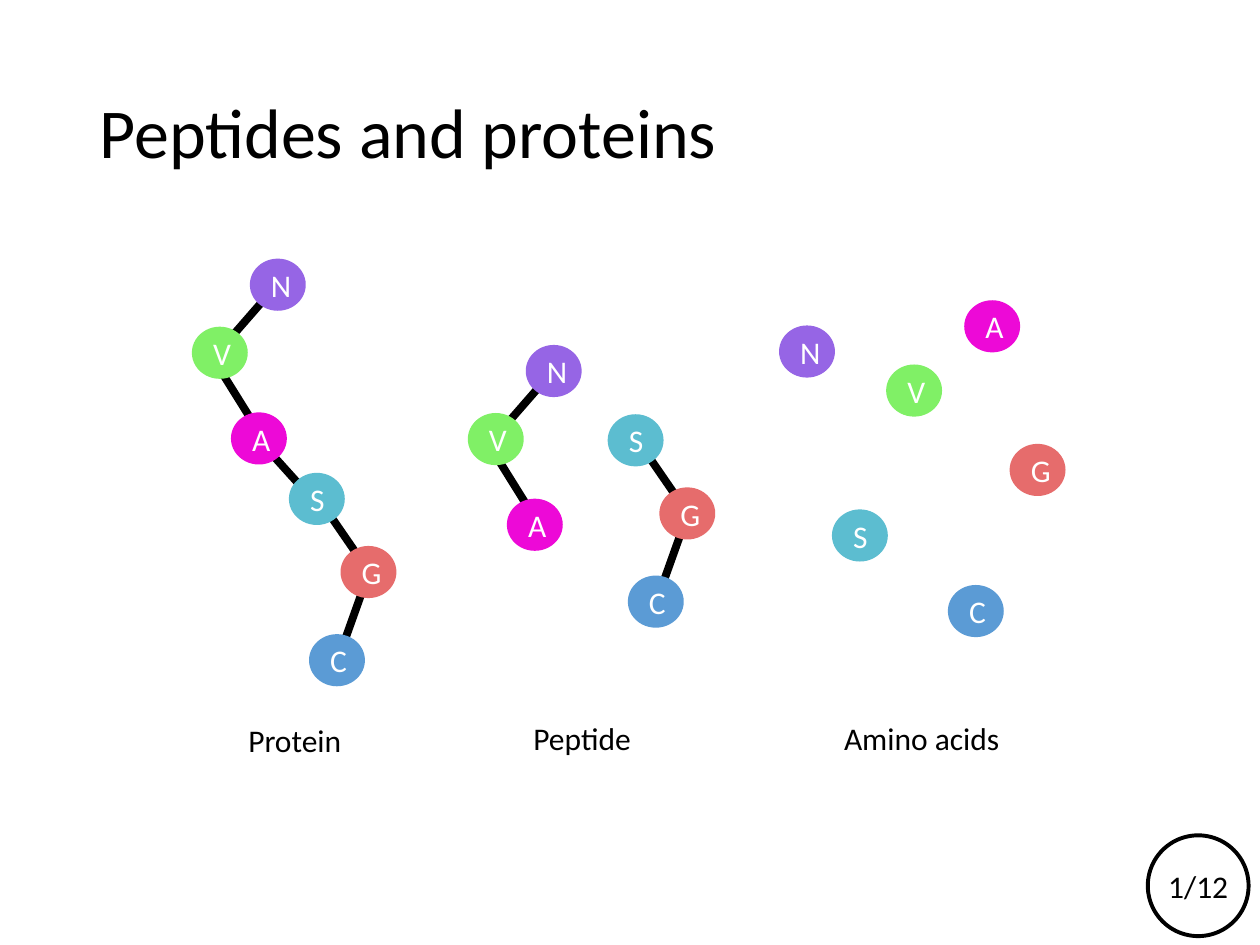
from lxml import etree
from pptx import Presentation
from pptx import util as u
from pptx.dml.color import RGBColor
from pptx.enum import shapes, text

deck = Presentation()
deck.slide_width, deck.slide_height = u.Inches(10), u.Inches(7.5)
cell = deck.slide_width / 100
slide = deck.slides.add_slide(deck.slide_layouts[5])
items = slide.shapes


def grid(*nums):
    return [round(n * cell) for n in nums]


def style(obj, hue=None, line=None, words=None, size=18, ink="000000", **form):
    if hue:
        obj.shadow.inherit = False
        obj.fill.solid()
        obj.fill.fore_color.rgb = RGBColor.from_string(hue)
    if line:
        obj.line.color.rgb = RGBColor.from_string(line[0])
        obj.line.width = u.Pt(line[1])
    if words:
        frame = obj.text_frame
        frame.text = words
        frame.word_wrap = True
        frame.vertical_anchor = form.get("anchor", text.MSO_ANCHOR.MIDDLE)
        para = frame.paragraphs[0]
        para.alignment = form.get("align", text.PP_ALIGN.CENTER)
        para.line_spacing = form.get("space", 1.0)
        para.font.color.rgb = RGBColor.from_string(ink)
        for key, val in {"name": "Calibri", "size": u.Pt(size)}.items():
            setattr(para.font, key, val)


title = items.title
place = dict(zip(("left", "top", "width", "height"), grid(6.9, 3.5, 86.2, 14.6)))
for key, val in place.items():
    setattr(title, key, val)
style(title, words="Peptides and proteins", size=40, align=text.PP_ALIGN.LEFT, space=0.9)

hues = {"N": "9665E5", "V": "80F066", "A": "ED09D7",
        "S": "5CBDD0", "G": "E66C6C", "C": "5B9BD5"}
wide, high = 4.3, 4.0
bonds = {"NV": (2.0, 2.1, 1.8, 2.2), "VA": (1.4, 2.1, 2.6, 2.2),
         "AS": (1.6, 1.5, 2.5, 2.8), "SG": (2.1, 1.7, 2.2, 2.0),
         "GC": (2.2, 2.0, 2.2, 2.0)}
chain = {"N": (19.9, 20.6), "V": (15.3, 26.0), "A": (18.4, 32.8),
         "S": (23.0, 37.6), "G": (27.1, 43.4), "C": (24.6, 50.4)}
free = {"N": (61.9, 25.9), "V": (70.4, 29.0), "A": (76.6, 23.9),
        "S": (66.1, 40.5), "G": (80.2, 35.3), "C": (75.3, 46.5)}
shifts = {"NVA": (21.9, 6.85), "SGC": (25.3, -4.65)}
parts = [{n: (chain[n][0] + dx, chain[n][1] + dy) for n in names}
         for names, (dx, dy) in shifts.items()]

for balls, bound in [(chain, True), (parts[0], True), (parts[1], True), (free, False)]:
    for (one, two), (ax, ay, bx, by) in bonds.items():
        if bound and one in balls and two in balls:
            (x, y), (p, q) = balls[one], balls[two]
            bond = items.add_connector(shapes.MSO_CONNECTOR.STRAIGHT,
                                       *grid(x + ax, y + ay, p + bx, q + by))
            style(bond, line=("000000", 4.5))
            etree.SubElement(bond.element.spPr,
                             "{http://schemas.openxmlformats.org/drawingml/2006/main}effectLst")
    for name, (x, y) in balls.items():
        ball = items.add_shape(shapes.MSO_SHAPE.OVAL, *grid(x, y, wide, high))
        style(ball, hues[name], (hues[name], 1), name, ink="FFFFFF")

ring = items.add_shape(shapes.MSO_SHAPE.OVAL, *grid(91.1, 66.3, 8, 8))
style(ring, "FFFFFF", ("000000", 2.25))

labels = [("Protein", 14.1, 56.7, 18.6), ("Peptide", 35.3, 56.6, 21.8),
          ("Amino acids", 60.4, 56.6, 25.5), ("1/12", 91.3, 68.3, 7.6)]
for words, x, y, span in labels:
    label = items.add_textbox(*grid(x, y, span, high))
    style(label, words=words, anchor=text.MSO_ANCHOR.TOP)

deck.save("out.pptx")
